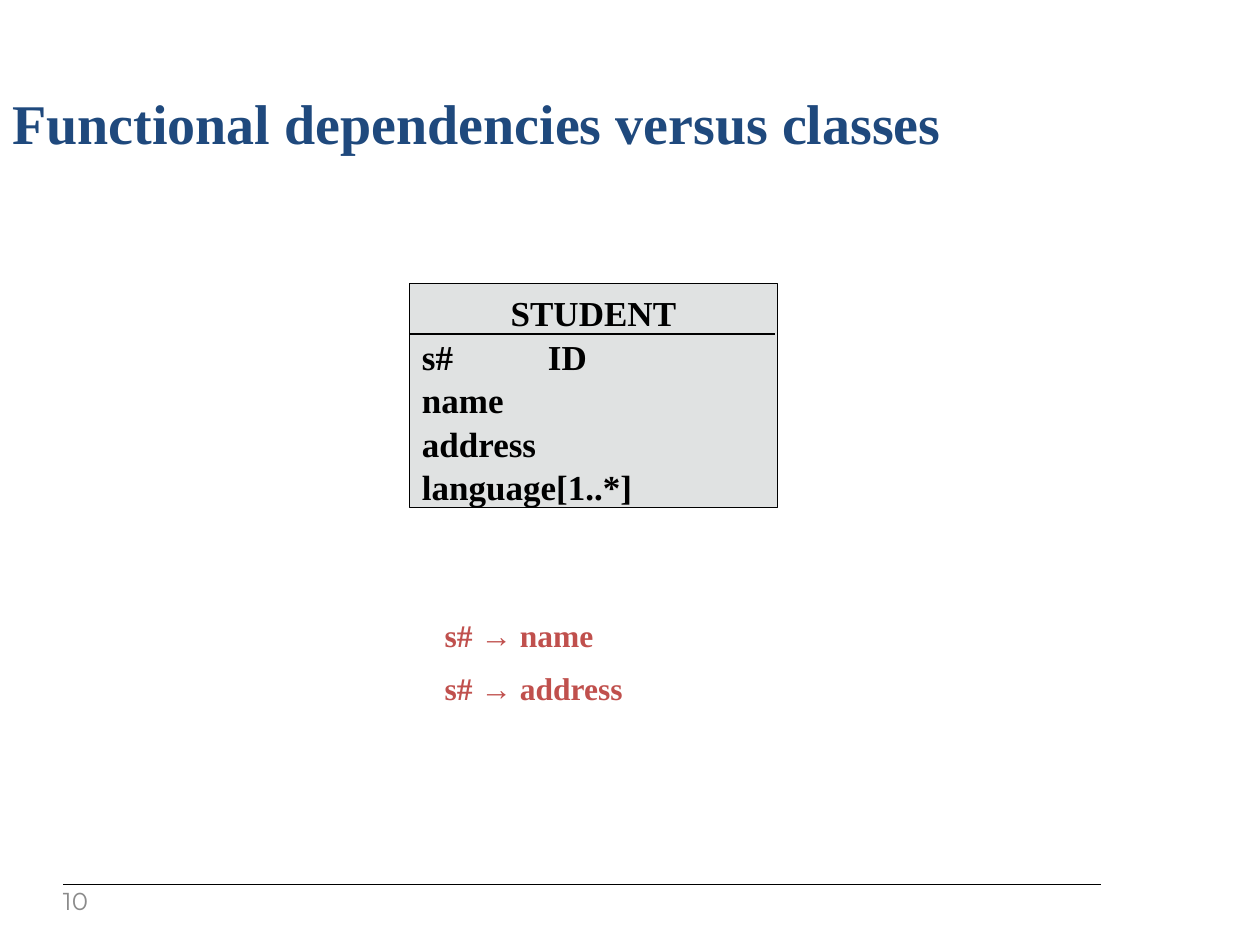
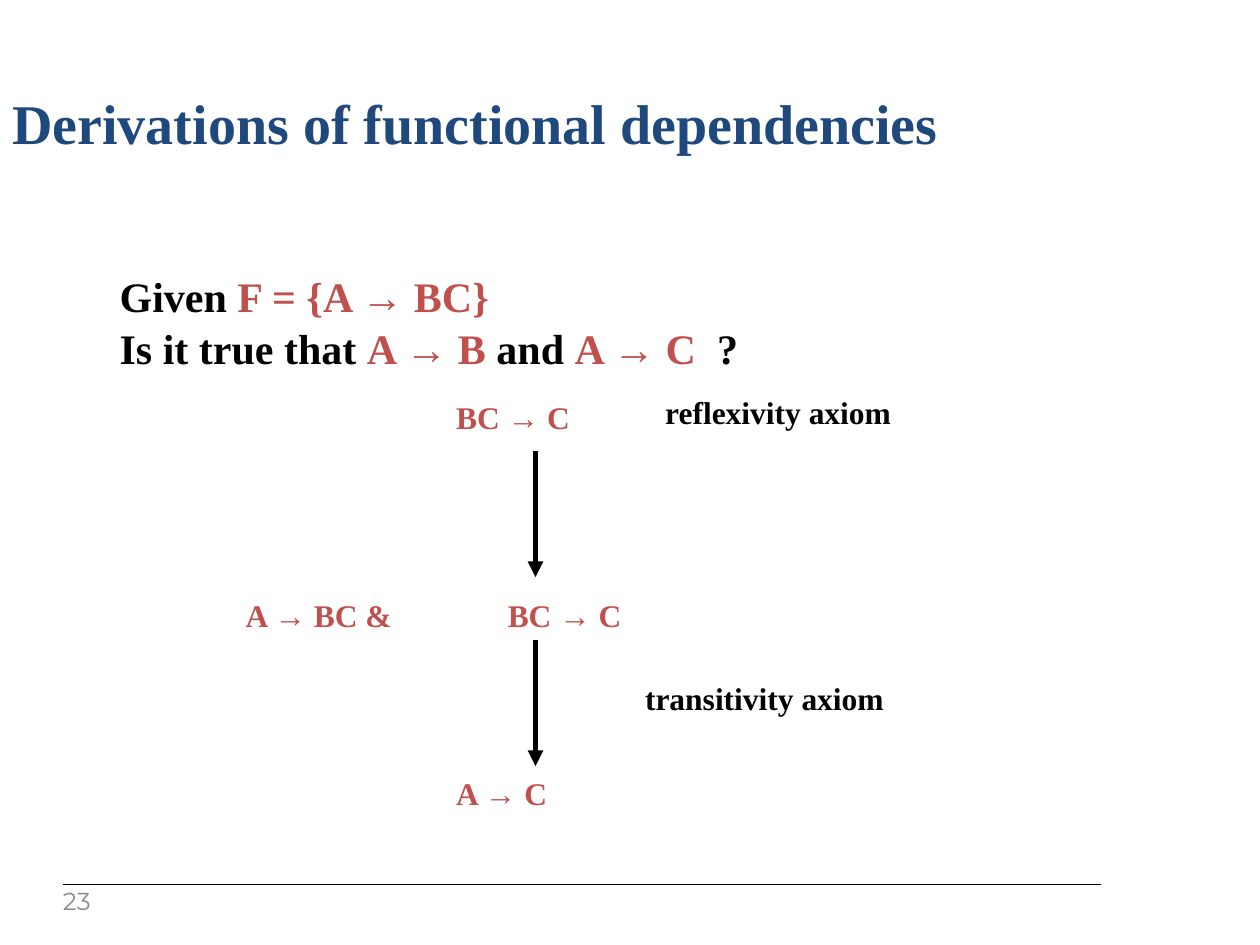
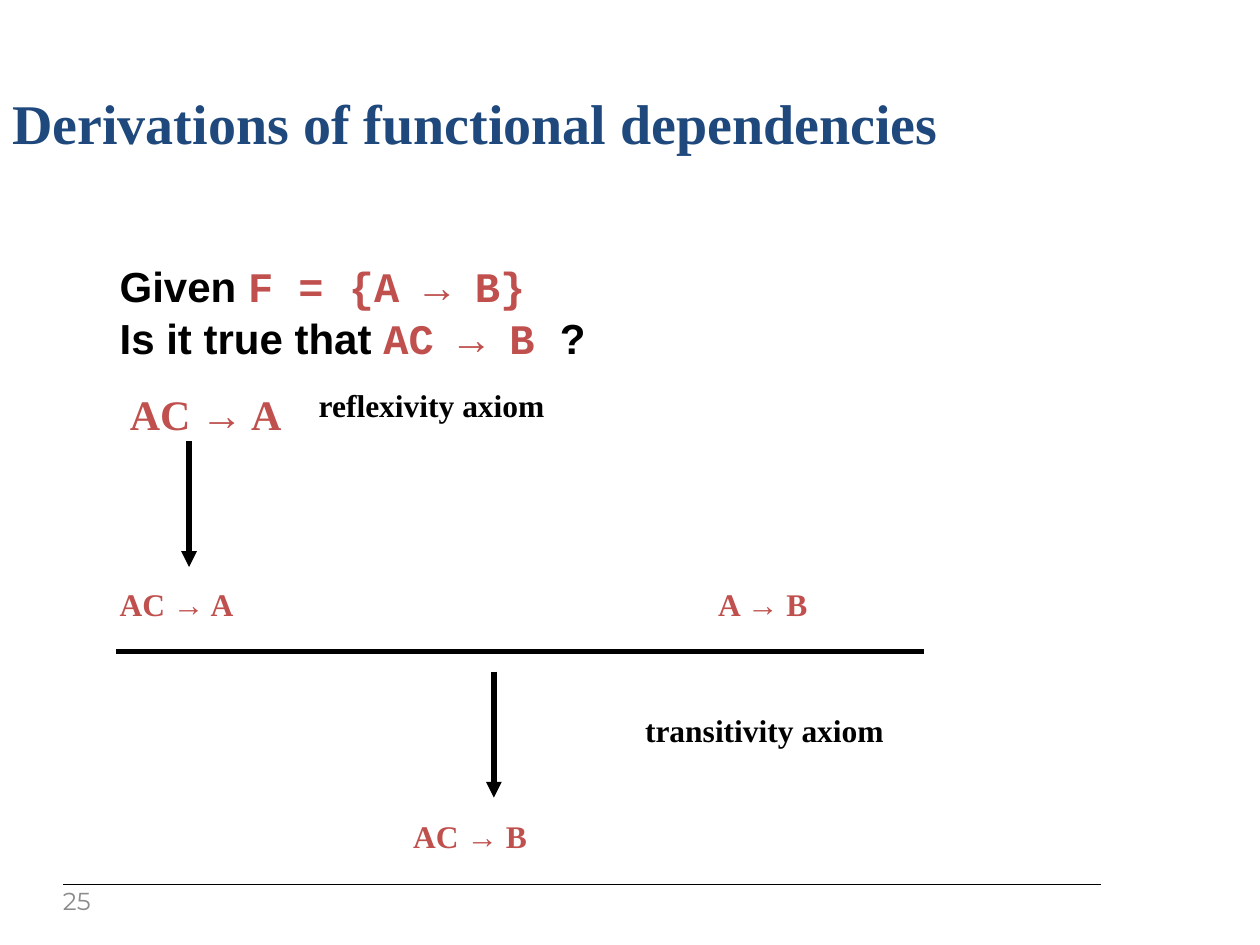
from lxml import etree
from pptx import Presentation, util as u
from pptx.dml import color
from pptx.enum import shapes, text
from pptx.oxml import ns

rgb = color.RGBColor.from_string
INK, RED, NAVY, GREY, PALE = "000000", "C0504D", "1F497D", "8B8B8B", "E0E2E2"
SERIF, SANS, MONO = "Times New Roman", "Arial", "Courier New"
WIDE = (0.2, 0.05, 0.2, 0.05)
SLIM = (0.1, 0.05, 0.1, 0.05)
MID = text.MSO_ANCHOR.MIDDLE
TOP = text.MSO_ANCHOR.TOP


def write(shape, rows, size, pad=WIDE, anchor=TOP):
    frame = shape.text_frame
    sides = ("margin_left", "margin_top", "margin_right", "margin_bottom")
    form = {side: u.Inches(gap) for side, gap in zip(sides, pad)}
    form.update(word_wrap=True, vertical_anchor=anchor)
    for key, value in form.items():
        setattr(frame, key, value)
    for num, row in enumerate(rows):
        para = frame.paragraphs[0] if num == 0 else frame.add_paragraph()
        para.alignment = text.PP_ALIGN.LEFT
        para.line_spacing = 1.04
        for words, tint, face in row:
            run = para.add_run()
            run.text = words
            look = {"name": face, "size": u.Pt(size), "bold": face != "Montserrat"}
            for key, value in look.items():
                setattr(run.font, key, value)
            run.font.color.rgb = rgb(tint)
    return frame


def stroke(home, x1, y1, x2, y2, width=3, arrow=False):
    line = home.add_connector(
        shapes.MSO_CONNECTOR.STRAIGHT, *map(u.Inches, (x1, y1, x2, y2)))
    line.line.color.rgb = rgb(INK)
    line.line.width = u.Pt(width)
    if arrow:
        tail = etree.SubElement(line.line._get_or_add_ln(), ns.qn("a:tailEnd"))
        tail.set("type", "triangle")
    etree.SubElement(line._element.spPr, ns.qn("a:effectLst"))


pages = [
    {
        "title": "Functional dependencies versus classes",
        "page": "10",
        "notes": [
            (3.33, 4.83, 3.33, "s# → name", RED, 18),
            (3.33, 5.25, 3.67, "s# → address", RED, 18),
        ],
        "arrows": [],
    },
    {
        "title": "Derivations of functional dependencies",
        "page": "23",
        "top": 2.08,
        "ask": [
            [("Given ", INK, SERIF), ("F = {A → BC}", RED, SERIF)],
            [("Is it true that ", INK, SERIF), ("A → B ", RED, SERIF),
             ("and ", INK, SERIF), ("A → C ", RED, SERIF), (" ?", INK, SERIF)],
        ],
        "notes": [
            (3.42, 3.1, 1.75, "BC → C", RED, 18),
            (5.08, 3.06, 3.67, "reflexivity axiom", INK, 18),
            (1.75, 4.67, 2.33, "A → BC &", RED, 18),
            (3.83, 4.67, 1.75, "BC → C", RED, 18),
            (4.92, 5.33, 3.67, "transitivity axiom", INK, 18),
            (3.42, 6.08, 1.75, "A → C", RED, 18),
        ],
        "arrows": [(4.25, 3.58), (4.25, 5.08)],
    },
    {
        "title": "Derivations of functional dependencies",
        "page": "25",
        "top": 2,
        "ask": [
            [("Given ", INK, SANS), ("F = {A → B}", RED, MONO)],
            [("Is it true that ", INK, SANS), ("AC → B ", RED, MONO),
             ("?", INK, SANS)],
        ],
        "notes": [
            (0.83, 3.02, 1.75, "AC → A", RED, 24),
            (2.33, 3, 3.67, "reflexivity axiom", INK, 18),
            (0.75, 4.58, 2.08, "AC → A", RED, 18),
            (5.5, 4.58, 2.08, "A → B", RED, 18),
            (4.92, 5.58, 3.67, "transitivity axiom", INK, 18),
            (3.08, 6.42, 1.83, "AC → B", RED, 18),
        ],
        "arrows": [(1.5, 3.5), (3.92, 5.33)],
        "rule": (0.92, 5.17, 7.33, 5.17),
    },
]

deck = Presentation()
deck.slide_width, deck.slide_height = u.Inches(10), u.Inches(7.5)

for page in pages:
    home = deck.slides.add_slide(deck.slide_layouts[6]).shapes
    stroke(home, 0.5, 7.02, 8.74, 7.02, 0.75)

    box = home.add_textbox(*map(u.Inches, (0, 0.62, 10, 0.67)))
    write(box, [[(page["title"], NAVY, SERIF)]], 32, SLIM, MID)

    if "ask" in page:
        box = home.add_textbox(*map(u.Inches, (0.75, page["top"], 9.67, 0.91)))
        write(box, page["ask"], 24)

    for left, top, width, words, tint, size in page["notes"]:
        high = 0.4 if size == 18 else 0.51
        box = home.add_textbox(*map(u.Inches, (left, top, width, high)))
        write(box, [[(words, tint, SERIF)]], size)

    for left, top in page["arrows"]:
        stroke(home, left, top, left, top + 1, arrow=True)
    if "rule" in page:
        stroke(home, *page["rule"])

    if page["page"] == "10":
        group = home.add_group_shape().shapes
        card = group.add_shape(
            shapes.MSO_SHAPE.RECTANGLE, *map(u.Inches, (3.25, 2.25, 2.92, 1.78)))
        card.shadow.inherit = False
        card.fill.solid()
        card.fill.fore_color.rgb = rgb(PALE)
        card.line.color.rgb = rgb(INK)
        card.line.width = u.Pt(0.75)
        names = ["STUDENT", "s#\t\tID", "name", "address", "language[1..*]"]
        frame = write(card, [[(name, INK, SERIF)] for name in names], 20, SLIM)
        frame.paragraphs[0].alignment = text.PP_ALIGN.CENTER
        stroke(group, 3.25, 2.65, 6.15, 2.65, 0.75)

    box = home.add_textbox(*map(u.Inches, (0.5, 7.06, 0.4, 0.21)))
    write(box, [[(page["page"], GREY, "Montserrat")]], 14, (0, 0, 0.1, 0.05), MID)

deck.save("out.pptx")
